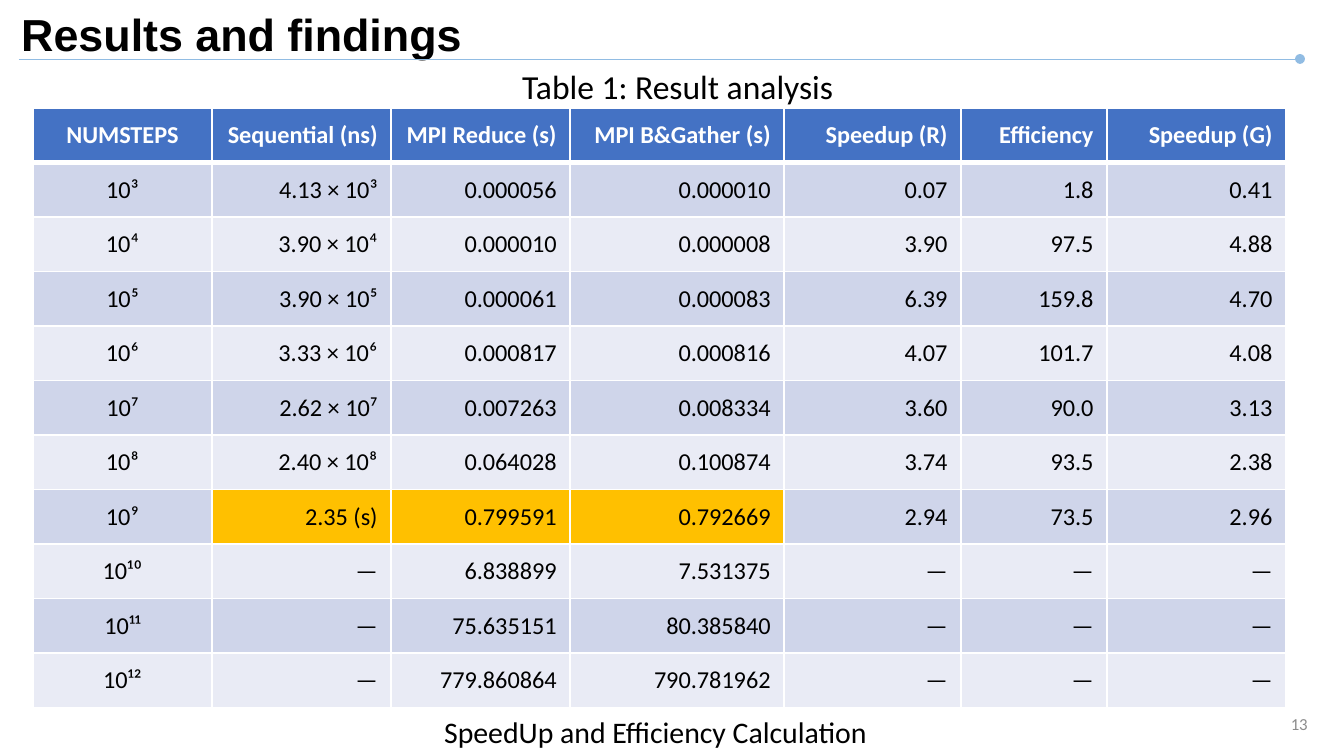
import pptx
import pptx.dml.color
import pptx.enum.shapes
import pptx.enum.text
import pptx.oxml
import pptx.oxml.ns
import pptx.util

ALIGN = pptx.enum.text.PP_ALIGN
ANCHOR = pptx.enum.text.MSO_ANCHOR
SCALE = 914400 / 134.4

COLORS = {
    "ink": "000000",
    "white": "FFFFFF",
    "page": "8C8C8C",
    "rule": "91BCE3",
    "header": "4472C4",
    "odd": "CFD5EA",
    "even": "E9EBF5",
    "highlight": "FFC000",
}

HEADER = ["NUMSTEPS", "Sequential (ns)", "MPI Reduce (s)", "MPI B&Gather (s)",
          "Speedup (R)", "Efficiency", "Speedup (G)"]
RESULTS = [
    ["10³", "4.13 × 10³", "0.000056", "0.000010", "0.07", "1.8", "0.41"],
    ["10⁴", "3.90 × 10⁴", "0.000010", "0.000008", "3.90", "97.5", "4.88"],
    ["10⁵", "3.90 × 10⁵", "0.000061", "0.000083", "6.39", "159.8", "4.70"],
    ["10⁶", "3.33 × 10⁶", "0.000817", "0.000816", "4.07", "101.7", "4.08"],
    ["10⁷", "2.62 × 10⁷", "0.007263", "0.008334", "3.60", "90.0", "3.13"],
    ["10⁸", "2.40 × 10⁸", "0.064028", "0.100874", "3.74", "93.5", "2.38"],
    ["10⁹", "2.35 (s)", "0.799591", "0.792669", "2.94", "73.5", "2.96"],
    ["10¹⁰", "—", "6.838899", "7.531375", "—", "—", "—"],
    ["10¹¹", "—", "75.635151", "80.385840", "—", "—", "—"],
    ["10¹²", "—", "779.860864", "790.781962", "—", "—", "—"],
]
COLUMN_WIDTHS = [179, 179, 179, 214, 177, 146, 179]
HIGHLIGHTED = {(7, 1), (7, 2), (7, 3)}


def px(length):
    return pptx.util.Emu(round(length * SCALE))


def rgb(color):
    return pptx.dml.color.RGBColor.from_string(COLORS[color])


class SlideBuilder:
    font = "Calibri"
    cell_size = 13

    def __init__(self, slide):
        self.slide = slide

    def style(self, paragraph, size, color="ink", bold=False, align=ALIGN.LEFT, font=None):
        paragraph.alignment = align
        paragraph.font.name = font or self.font
        paragraph.font.size = pptx.util.Pt(size)
        paragraph.font.bold = bold
        paragraph.font.color.rgb = rgb(color)

    def text(self, words, box, size, anchor=ANCHOR.TOP, wrap=True, **look):
        frame = self.slide.shapes.add_textbox(*map(px, box)).text_frame
        frame.word_wrap = wrap
        frame.vertical_anchor = anchor
        frame.text = words
        self.style(frame.paragraphs[0], size, **look)

    def line(self, start, end, color, width):
        rule = self.slide.shapes.add_connector(
            pptx.enum.shapes.MSO_CONNECTOR.STRAIGHT, *map(px, start + end))
        rule.line.color.rgb = rgb(color)
        rule.line.width = pptx.util.Pt(width)
        pptx.oxml.ns.qn("a:effectLst")
        rule._element.spPr.append(pptx.oxml.parse_xml(
            f'<a:effectLst {pptx.oxml.ns.nsdecls("a")}/>'))

    def dot(self, box, color):
        end_dot = self.slide.shapes.add_shape(
            pptx.enum.shapes.MSO_SHAPE.OVAL, *map(px, box))
        end_dot.shadow.inherit = False
        end_dot.fill.solid()
        end_dot.fill.fore_color.rgb = rgb(color)
        end_dot.line.color.rgb = rgb(color)
        end_dot.line.width = pptx.util.Pt(1)

    def borders(self, cell, bottom, top):
        properties = cell._tc.get_or_add_tcPr()
        widths = {"lnL": 1, "lnR": 1, "lnT": top, "lnB": bottom}
        for position, (side, width) in enumerate(widths.items()):
            properties.insert(position, pptx.oxml.parse_xml(
                f'<a:{side} {pptx.oxml.ns.nsdecls("a")} w="{pptx.util.Pt(width)}">'
                f'<a:solidFill><a:srgbClr val="{COLORS["white"]}"/></a:solidFill>'
                f'</a:{side}>'))

    def table(self, rows, box, widths, highlighted):
        results = self.slide.shapes.add_table(
            len(rows), len(widths), *map(px, box)).table
        for column, width in zip(results.columns, widths):
            column.width = px(width)
        for r, row in enumerate(rows):
            band = "header" if r == 0 else "odd" if r % 2 else "even"
            for c, value in enumerate(row):
                cell = results.cell(r, c)
                cell.text = value
                cell.vertical_anchor = ANCHOR.MIDDLE
                cell.fill.solid()
                cell.fill.fore_color.rgb = rgb("highlight" if (r, c) in highlighted else band)
                self.style(cell.text_frame.paragraphs[0], self.cell_size,
                           color="white" if r == 0 else "ink", bold=r == 0,
                           align=ALIGN.RIGHT if c else ALIGN.CENTER)
                self.borders(cell, bottom=3 if r == 0 else 1, top=3 if r == 1 else 1)


def main():
    deck = pptx.Presentation()
    deck.slide_width = px(1344)
    deck.slide_height = px(756)
    builder = SlideBuilder(deck.slides.add_slide(deck.slide_layouts[6]))

    builder.text("13", (1019, 704, 302, 40), 9, anchor=ANCHOR.MIDDLE,
                 color="page", align=ALIGN.RIGHT)
    builder.text("Results and findings", (8, -7, 1314, 82), 24,
                 anchor=ANCHOR.MIDDLE, bold=True, font="Arial")
    builder.line((19, 59), (1300, 59), "rule", 0.5)
    builder.dot((1296, 55, 8, 8), "rule")
    builder.text("Table 1: Result analysis", (509, 59, 395, 54), 18)
    builder.text("SpeedUp and Efficiency Calculation", (431, 707, 456, 50), 16, wrap=False)
    builder.table([HEADER] + RESULTS, (33, 108, sum(COLUMN_WIDTHS), 600),
                  COLUMN_WIDTHS, HIGHLIGHTED)

    deck.save("out.pptx")


if __name__ == "__main__":
    main()
